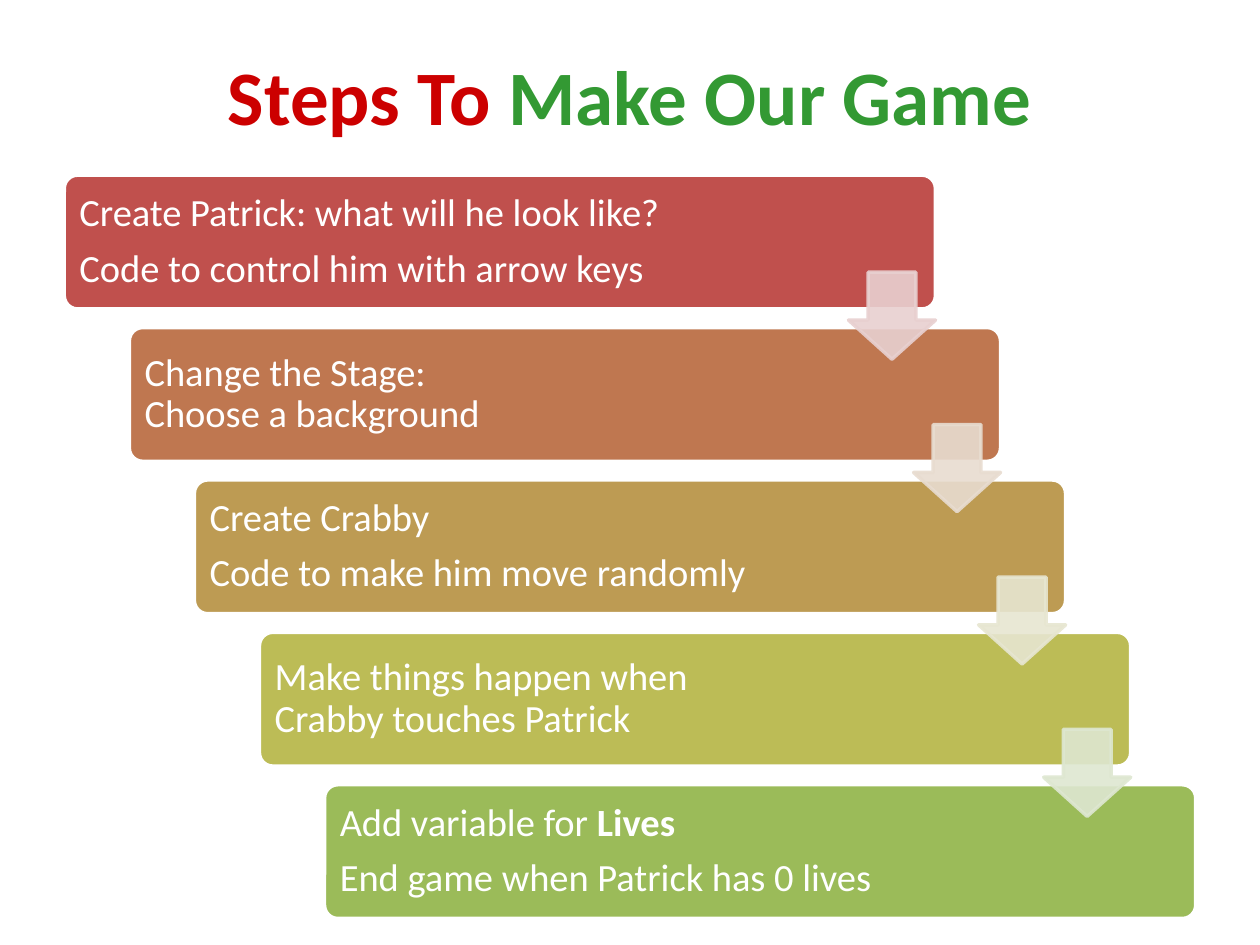
from lxml import etree
from pptx import Presentation
from pptx.dml.color import RGBColor
from pptx.enum.shapes import MSO_SHAPE
from pptx.enum.text import MSO_ANCHOR, PP_ALIGN
from pptx.oxml.ns import qn
from pptx.util import Inches, Pt

FONT = "Calibri"
COLORS = {"red": "CC0000", "green": "339933", "white": "FFFFFF"}

# Each step: box colour, colour of the arrow leading on, paragraphs of (text, bold) runs
STEPS = [
    ("C0504D", "E8D0D0", [[("Create Patrick: what will he look like?", False)],
                          [("Code to control him with arrow keys", False)]]),
    ("BF7750", "E8DCD0", [[("Change the Stage:\vChoose a background", False)]]),
    ("BD9B53", "E7E6D1", [[("Create Crabby", False)],
                          [("Code to make him move randomly", False)]]),
    ("BCBC56", "DEE7D1", [[("Make things happen when\vCrabby touches Patrick", False)]]),
    ("9BBB59", None, [[("Add variable for ", False), ("Lives", True)],
                      [("End game when Patrick has 0 lives", False)]]),
]


def add_run(paragraph, text, size, color, bold):
    # A vertical tab marks a line break within the paragraph
    for i, line in enumerate(text.split("\v")):
        if i:
            paragraph.add_line_break()
        run = paragraph.add_run()
        run.text = line
        run.font.name = FONT
        run.font.size = Pt(size)
        run.font.bold = bold
        run.font.color.rgb = RGBColor.from_string(color)


def add_block(slide, kind, box, adjustments, fill, line, alpha=None):
    shape = slide.shapes.add_shape(kind, *map(Inches, box))
    shape.shadow.inherit = False
    for i, value in enumerate(adjustments):
        shape.adjustments[i] = value
    shape.fill.solid()
    shape.fill.fore_color.rgb = RGBColor.from_string(fill)
    shape.line.color.rgb = RGBColor.from_string(line)
    shape.line.width = Pt(2)
    if alpha is not None:
        for color in shape.element.spPr.iter(qn("a:srgbClr")):
            etree.SubElement(color, qn("a:alpha")).set("val", str(alpha * 1000))
    return shape


def fill_title(slide, box):
    title = slide.shapes.title
    title.left, title.top, title.width, title.height = map(Inches, box)
    title.text_frame.vertical_anchor = MSO_ANCHOR.MIDDLE
    paragraph = title.text_frame.paragraphs[0]
    paragraph.alignment = PP_ALIGN.CENTER
    add_run(paragraph, "Steps To ", 44, COLORS["red"], True)
    add_run(paragraph, "Make Our Game", 44, COLORS["green"], True)


def add_step(slide, box, fill, paragraphs):
    shape = add_block(slide, MSO_SHAPE.ROUNDED_RECTANGLE, box, [0.1], fill, COLORS["white"])
    frame = shape.text_frame
    frame.word_wrap = True
    frame.vertical_anchor = MSO_ANCHOR.MIDDLE
    frame.margin_left = frame.margin_top = frame.margin_bottom = Inches(0.09)
    frame.margin_right = Inches(1.29)  # keeps the text clear of the arrows
    for i, runs in enumerate(paragraphs):
        paragraph = frame.add_paragraph() if i else frame.paragraphs[0]
        paragraph.alignment = PP_ALIGN.LEFT
        paragraph.line_spacing = 0.9
        paragraph.space_after = Pt(7.7)
        for text, bold in runs:
            add_run(paragraph, text, 22, COLORS["white"], bold)


def add_staircase(slide, box):
    left, top, width, height = box
    count = len(STEPS)
    step_w, step_h = width * 0.77, height * 0.18
    shift_x = (width - step_w) / (count - 1)
    shift_y = (height - step_h) / (count - 1)
    arrow = step_h * 0.65
    corners = [(left + i * shift_x, top + i * shift_y) for i in range(count)]

    # Steps
    for (x, y), (fill, _, paragraphs) in zip(corners, STEPS):
        add_step(slide, (x, y, step_w, step_h), fill, paragraphs)

    # Arrows lie over the gap between one step and the next
    for (x, y), (_, tint, _) in zip(corners[:-1], STEPS):
        arrow_box = (x + step_w - arrow, y + (step_h + shift_y - arrow) / 2 - 0.02, arrow, arrow)
        add_block(slide, MSO_SHAPE.DOWN_ARROW, arrow_box, [0.55, 0.45], tint, tint, alpha=90)


prs = Presentation()
prs.slide_width, prs.slide_height = Inches(10), Inches(7.5)
slide = prs.slides.add_slide(prs.slide_layouts[5])
fill_title(slide, (0.5, 0.13, 9, 1.25))
add_staircase(slide, (0.51, 1.39, 8.98, 5.9))
prs.save("out.pptx")
